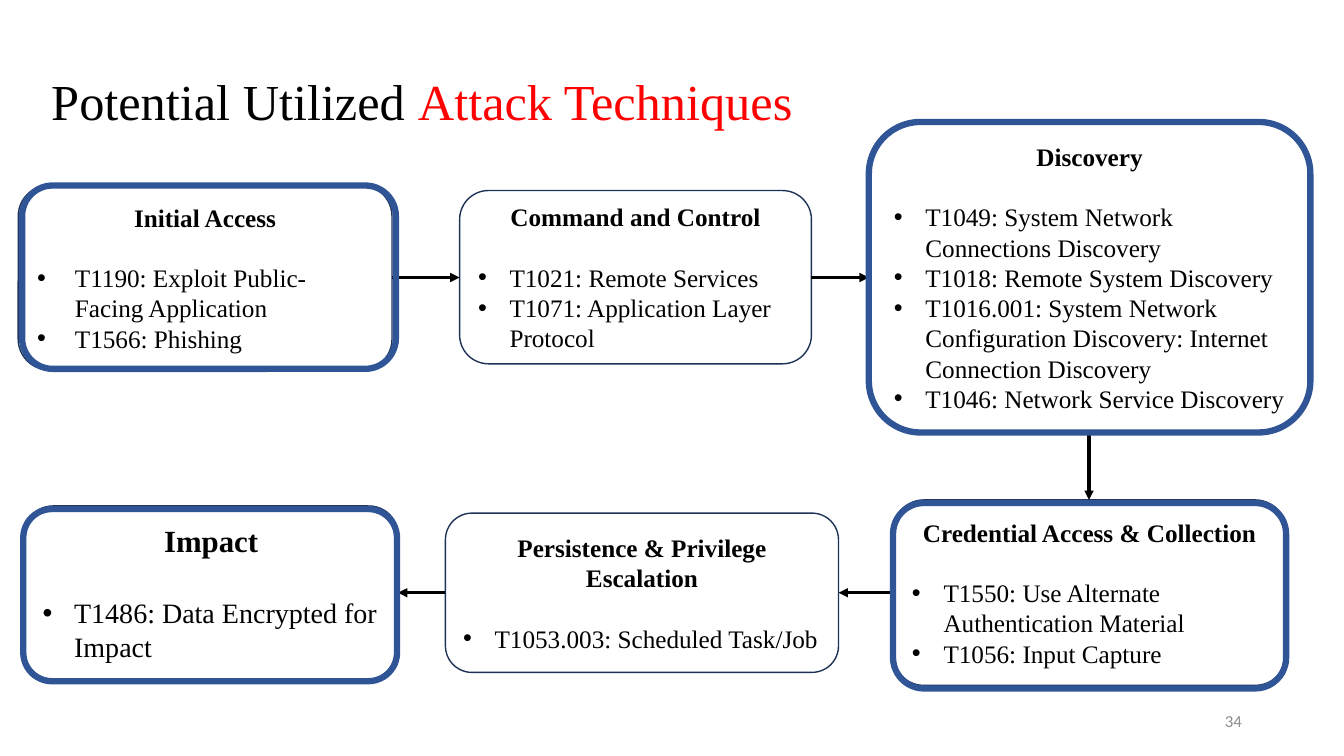
from lxml import etree
from pptx import Presentation
from pptx.dml.color import RGBColor
from pptx.enum.shapes import MSO_CONNECTOR, MSO_SHAPE
from pptx.enum.text import MSO_ANCHOR, PP_ALIGN
from pptx.oxml.ns import qn
from pptx.util import Pt

ROUNDED = MSO_SHAPE.ROUNDED_RECTANGLE
STRAIGHT = MSO_CONNECTOR.STRAIGHT
MIDDLE, TOP = MSO_ANCHOR.MIDDLE, MSO_ANCHOR.TOP
LEFT, CENTER, RIGHT = PP_ALIGN.LEFT, PP_ALIGN.CENTER, PP_ALIGN.RIGHT

WHITE = RGBColor(0xFF, 0xFF, 0xFF)
BLACK = RGBColor(0, 0, 0)
RED = RGBColor(0xFF, 0, 0)
GRAY = RGBColor(0x8C, 0x8C, 0x8C)
NAVY = RGBColor(0x1E, 0x32, 0x56)
BLUE = RGBColor(0x2F, 0x55, 0x97)
SERIF, SANS = "Times New Roman", "Calibri"

# Each stage: (left, top, width, height), heading, techniques, format options
STAGES = [
    ((13, 132.5, 267, 131.75), "Initial Access",
     ["T1190: Exploit Public-Facing Application", "T1566: Phishing"],
     {"indent": 27}),
    ((328.3, 136.1, 251.3, 123.8), "Command and Control",
     ["T1021: Remote Services", "T1071: Application Layer Protocol"], {}),
    ((620.6, 87.1, 315.4, 221.8), "Discovery",
     ["T1049: System Network Connections Discovery",
      "T1018: Remote System Discovery",
      "T1016.001: System Network Configuration Discovery: "
      "Internet Connection Discovery",
      "T1046: Network Service Discovery"], {}),
    ((637.9, 357.1, 280.8, 132.5), "Credential Access & Collection",
     ["T1550: Use Alternate Authentication Material",
      "T1056: Input Capture"], {}),
    ((318.2, 366.5, 280.8, 113.8), "Persistence & Privilege Escalation",
     ["T1053.003: Scheduled Task/Job"], {}),
    ((17.3, 361.4, 267, 123.8), "Impact",
     ["T1486: Data Encrypted for Impact"],
     {"heading_size": 22, "size": 20}),
]

HIGHLIGHTS = [
    (15.8, 132.5, 267, 131),
    (620.6, 87.1, 315.4, 221.8),
    (16.6, 363.6, 267, 123),
    (637.9, 359.3, 280.8, 132.5),
]

TOP_ROW_Y, BOTTOM_ROW_Y, DOWN_X = 198.2, 423.4, 777.9
ARROWS = [
    (280, TOP_ROW_Y, 328.3, TOP_ROW_Y),
    (579.6, TOP_ROW_Y, 620.6, TOP_ROW_Y),
    (DOWN_X, 308.9, DOWN_X, 357.1),
    (637.9, BOTTOM_ROW_Y, 599, BOTTOM_ROW_Y),
    (318.2, BOTTOM_ROW_Y, 284.3, BOTTOM_ROW_Y),
]


def add_run(p, text, size=18, color=BLACK, bold=False, font=SERIF):
    r = p.add_run()
    r.text = text
    r.font.name = font
    r.font.size = Pt(size)
    r.font.bold = bold
    r.font.color.rgb = color


def add_bullet(p, indent):
    pPr = p._p.get_or_add_pPr()
    pPr.set("marL", str(Pt(indent)))
    pPr.set("indent", str(-Pt(indent)))
    etree.SubElement(pPr, qn("a:buFont")).set("typeface", "Arial")
    etree.SubElement(pPr, qn("a:buChar")).set("char", "•")


def add_rounded_box(s, box, line, width, fill=None):
    sp = s.shapes.add_shape(ROUNDED, *map(Pt, box))
    sp.shadow.inherit = False
    if fill is None:
        sp.fill.background()
    else:
        sp.fill.solid()
        sp.fill.fore_color.rgb = fill
    sp.line.color.rgb = line
    sp.line.width = Pt(width)
    return sp


def add_stage(s, box, heading, techniques, heading_size=18, size=18,
              indent=22.5):
    tf = add_rounded_box(s, box, NAVY, 1, WHITE).text_frame
    tf.word_wrap = True
    tf.vertical_anchor = MIDDLE
    p = tf.paragraphs[0]
    p.alignment = CENTER
    add_run(p, heading, heading_size, bold=True)
    for i, technique in enumerate(techniques):
        p = tf.add_paragraph()
        p.alignment = LEFT
        if i == 0:
            p.space_before = Pt(1.2 * heading_size)
        add_bullet(p, indent)
        add_run(p, technique, size)


def add_arrow(s, x1, y1, x2, y2):
    c = s.shapes.add_connector(STRAIGHT, Pt(x1), Pt(y1), Pt(x2), Pt(y2))
    c.line.color.rgb = BLACK
    c.line.width = Pt(2.25)
    etree.SubElement(c.line._get_or_add_ln(), qn("a:tailEnd")).set(
        "type", "triangle")
    etree.SubElement(c._element.spPr, qn("a:effectLst"))


def add_text(s, box, runs, align=LEFT, anchor=TOP):
    """Add a one-paragraph text box; runs pairs each text with its format."""
    tf = s.shapes.add_textbox(*map(Pt, box)).text_frame
    tf.word_wrap = True
    tf.vertical_anchor = anchor
    p = tf.paragraphs[0]
    p.alignment = align
    for text, style in runs:
        add_run(p, text, **style)


def main():
    prs = Presentation()
    prs.slide_width, prs.slide_height = Pt(960), Pt(540)
    s = prs.slides.add_slide(prs.slide_layouts[6])
    for box, heading, techniques, options in STAGES:
        add_stage(s, box, heading, techniques, **options)
    for ends in ARROWS:
        add_arrow(s, *ends)
    add_text(s, (29.5, 46.8, 597, 51), [
        ("Potential Utilized ", {"size": 36}),
        ("Attack Techniques", {"size": 36, "color": RED}),
    ])
    for box in HIGHLIGHTS:
        add_rounded_box(s, box, BLUE, 4.5)
    add_text(s, (678.2, 500.4, 216, 28.8),
             [("34", {"size": 12, "color": GRAY, "font": SANS})],
             align=RIGHT, anchor=MIDDLE)
    prs.save("out.pptx")


if __name__ == "__main__":
    main()
